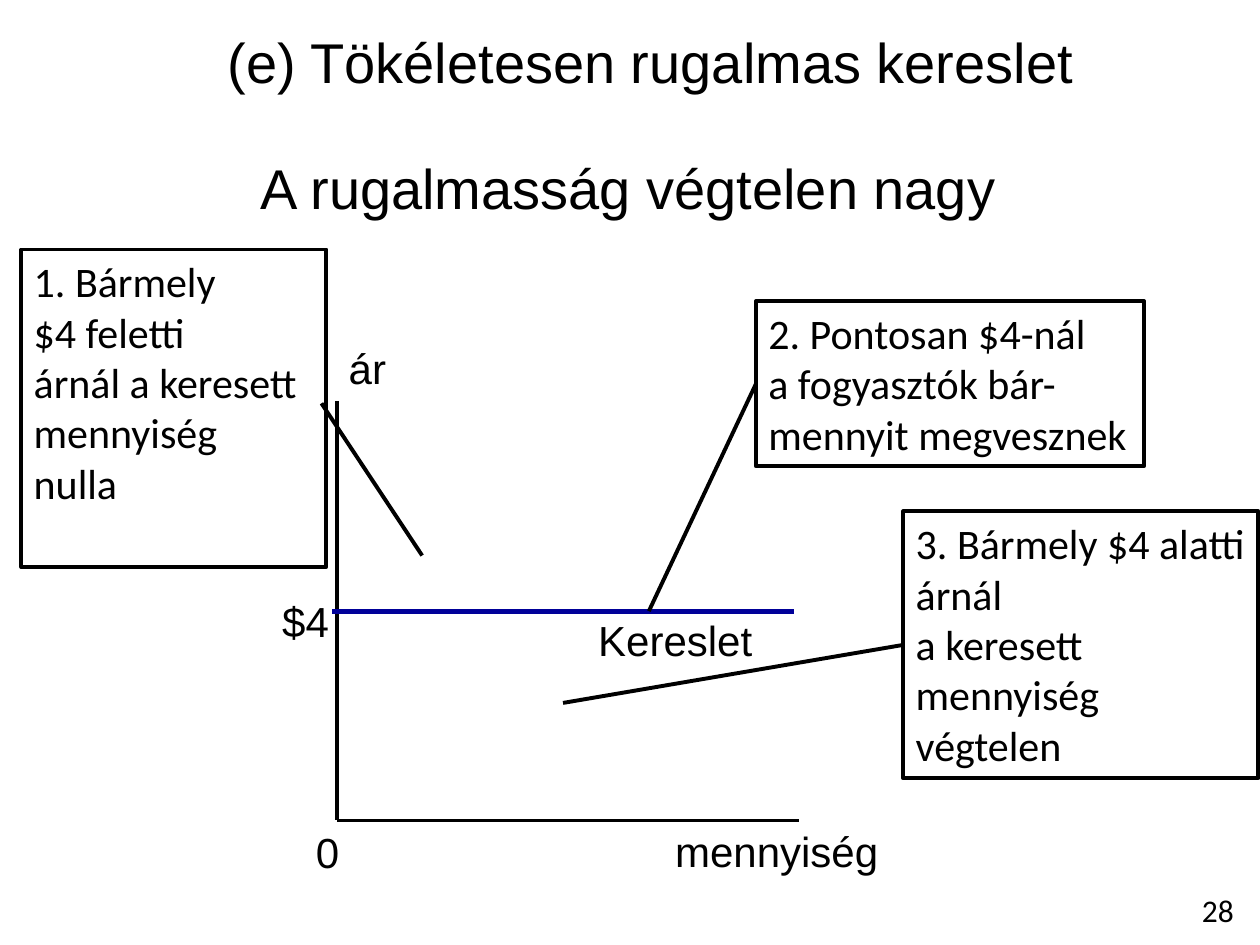
from lxml.etree import SubElement
from pptx import Presentation
from pptx.dml.color import RGBColor
from pptx.enum.shapes import MSO_CONNECTOR, MSO_SHAPE
from pptx.enum.text import MSO_ANCHOR, MSO_AUTO_SIZE, PP_ALIGN
from pptx.oxml.ns import qn
from pptx.util import Cm, Pt

BLACK = "000000"
DEMAND_BLUE = "000099"
LEFT_SIDE = 1


def color(hex_value):
    """Return the colour for a hex string."""
    return RGBColor.from_string(hex_value)


def write(shape, text, size, font, align=PP_ALIGN.LEFT, wrap=False):
    """Fill a shape with uniformly formatted text."""
    frame = shape.text_frame
    frame.text = text
    frame.word_wrap = wrap
    frame.auto_size = MSO_AUTO_SIZE.NONE
    frame.vertical_anchor = MSO_ANCHOR.TOP
    for paragraph in frame.paragraphs:
        paragraph.alignment = align
        paragraph.font.size = Pt(size)
        paragraph.font.name = font
        paragraph.font.color.rgb = color(BLACK)


def add_title(slide, text, left, top, width, height):
    """Place and format the title placeholder."""
    title = slide.shapes.title
    title.left, title.top = Cm(left), Cm(top)
    title.width, title.height = Cm(width), Cm(height)
    write(title, text, 32, "Arial", PP_ALIGN.CENTER)


def add_label(slide, text, left, top, width, height, size=24, font="Arial", align=PP_ALIGN.LEFT):
    """Add a single line of free text."""
    label = slide.shapes.add_textbox(Cm(left), Cm(top), Cm(width), Cm(height))
    write(label, text, size, font, align)


def add_note(slide, text, left, top, width, height):
    """Add an outlined explanation box."""
    note = slide.shapes.add_shape(MSO_SHAPE.RECTANGLE, Cm(left), Cm(top), Cm(width), Cm(height))
    note.shadow.inherit = False
    note.fill.background()
    note.line.color.rgb = color(BLACK)
    note.line.width = Pt(2.25)
    write(note, text, 24, "Calibri", wrap=True)
    return note


def add_line(slide, start_x, start_y, end_x, end_y, hex_value=BLACK, weight=2.25):
    """Add a straight line without shadow."""
    line = slide.shapes.add_connector(
        MSO_CONNECTOR.STRAIGHT, Cm(start_x), Cm(start_y), Cm(end_x), Cm(end_y)
    )
    line.line.color.rgb = color(hex_value)
    line.line.width = Pt(weight)
    SubElement(line._element.spPr, qn("a:effectLst"))
    return line


def add_pointer(slide, start_x, start_y, note):
    """Join a point of the graph to the left side of a note."""
    pointer = add_line(slide, start_x, start_y, start_x, start_y)
    pointer.end_connect(note, LEFT_SIDE)


def add_graph(slide):
    """Draw the axes, the demand line and their labels."""
    origin_x, origin_y = 6.79, 16.54
    price_y = 12.32
    add_line(slide, origin_x, 8.08, origin_x, origin_y)
    add_line(slide, origin_x, origin_y, 16.1, origin_y)
    add_line(slide, 6.7, price_y, 16, price_y, DEMAND_BLUE, 3)
    add_label(slide, "ár", 6.78, 6.78, 1.5, 1.27)
    add_label(slide, "mennyiség", 13.36, 16.51, 4.9, 1.3)
    add_label(slide, "0", 6.12, 16.54, 0.99, 1.3)
    add_label(slide, "Kereslet", 11.81, 12.27, 3.66, 1.27)
    add_label(slide, "$4", 5.44, 11.89, 1.47, 1.27)
    return price_y


def add_notes_on_graph(slide, price_y):
    """Add the three explanations and their pointers."""
    add_note(
        slide, "1. Bármely\v$4 feletti\nárnál a keresett mennyiség\nnulla", 0.43, 5.03, 6.15, 6.4
    )
    add_line(slide, 8.51, 11.2, 6.48, 8.13)
    at_price = add_note(
        slide, "2. Pontosan $4-nál\na fogyasztók bár-\nmennyit megvesznek", 15.24, 6.07, 7.82, 3.33
    )
    add_pointer(slide, 13.08, price_y, at_price)
    below_price = add_note(
        slide, "3. Bármely $4 alatti árnál\na keresett mennyiség\nvégtelen", 18.21, 10.31, 7.16, 5.38
    )
    add_pointer(slide, 11.35, 14.17, below_price)


def main():
    """Build the slide on perfectly elastic demand."""
    presentation = Presentation()
    presentation.slide_width, presentation.slide_height = Cm(25.4), Cm(19.05)
    slide = presentation.slides.add_slide(presentation.slide_layouts[5])
    add_title(slide, "(e) Tökéletesen rugalmas kereslet", 4.27, 0.43, 17.7, 1.63)
    add_label(
        slide, "A rugalmasság végtelen nagy", 4.95, 2.97, 15.44, 1.63, 32, align=PP_ALIGN.CENTER
    )
    price_y = add_graph(slide)
    add_notes_on_graph(slide, price_y)
    add_label(slide, "28", 23.7, 17.83, 1.7, 1.02, 18, "Calibri", PP_ALIGN.CENTER)
    presentation.save("out.pptx")


if __name__ == "__main__":
    main()
